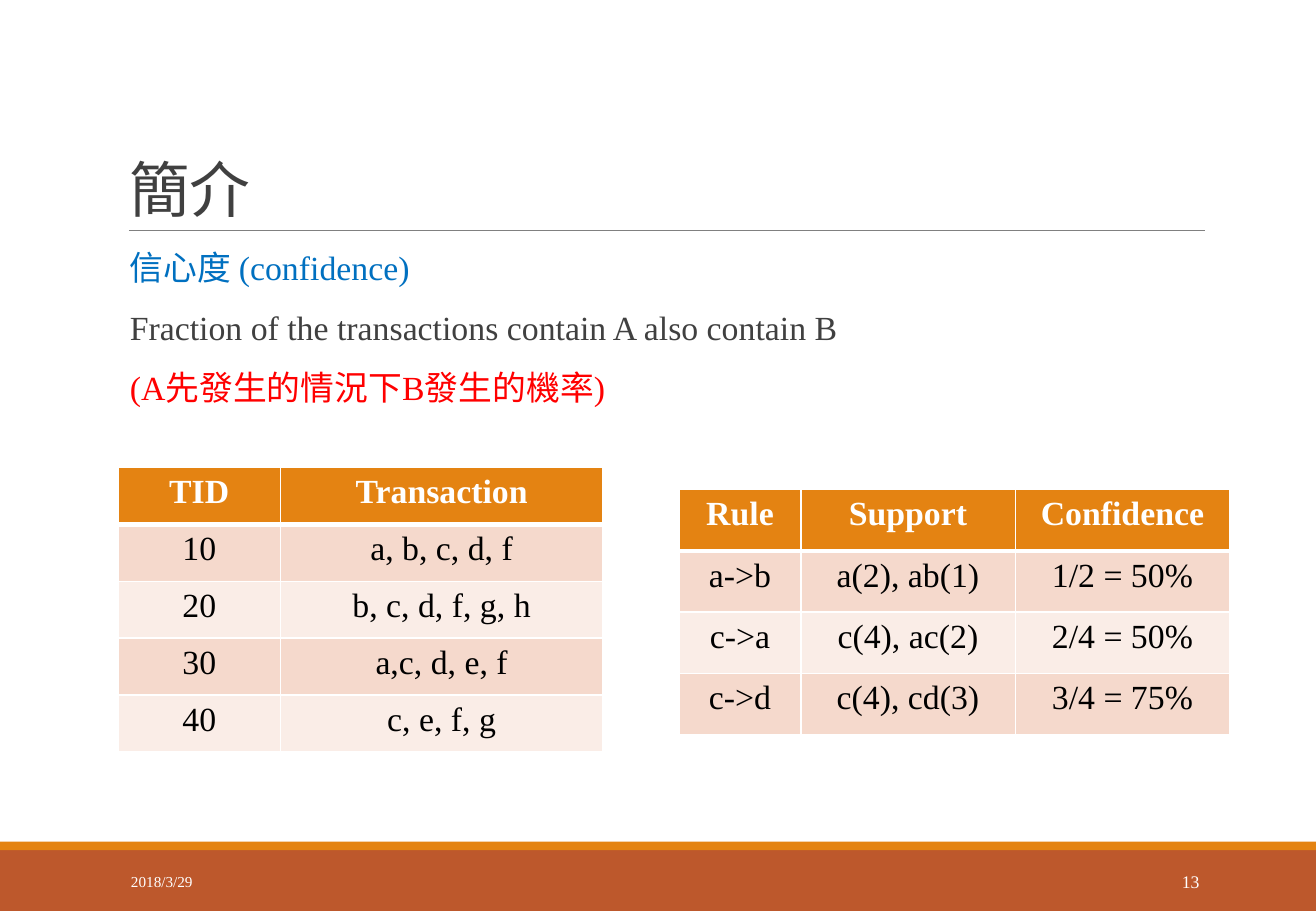
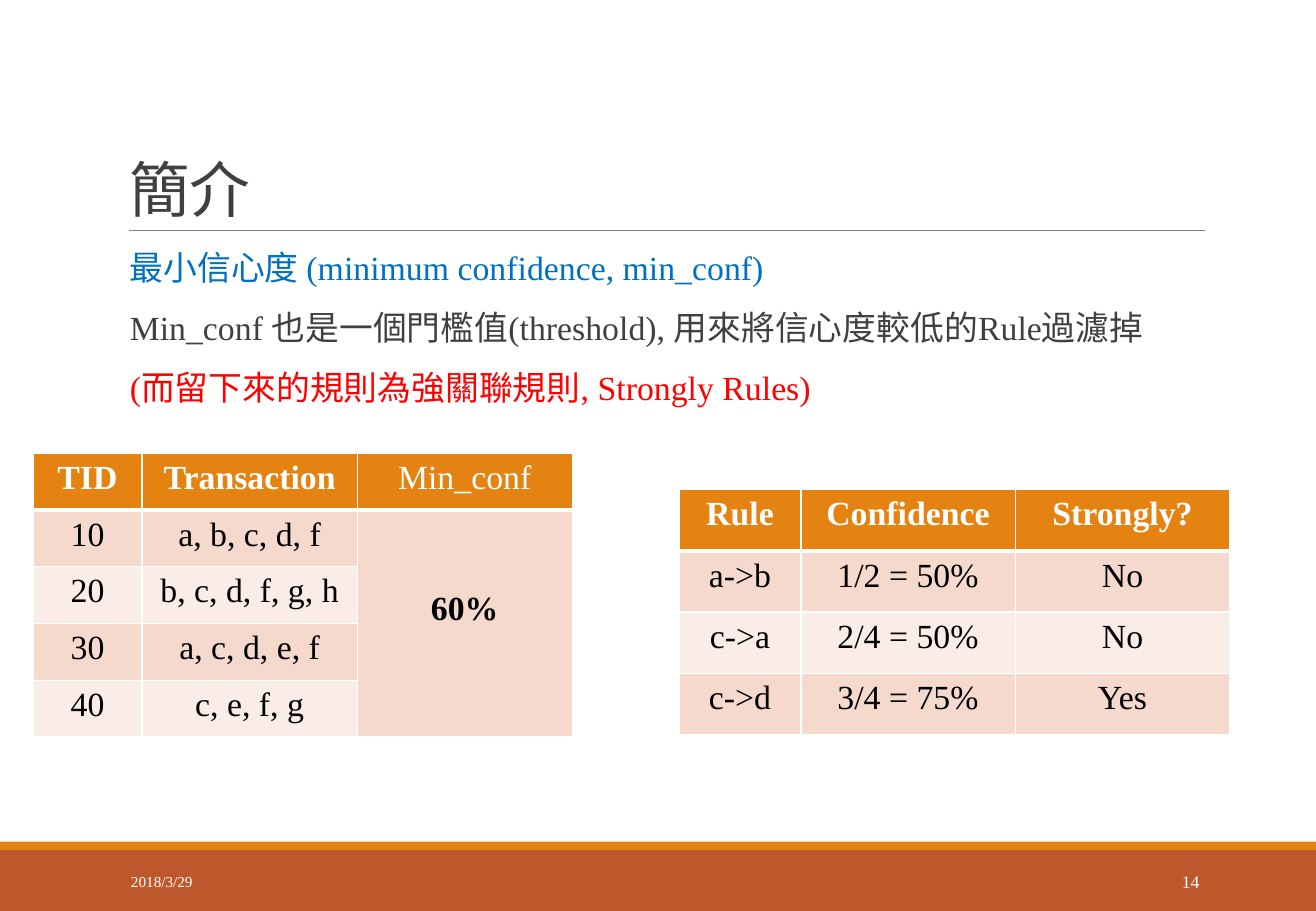
from lxml.etree import SubElement as Sub
from pptx import Presentation
from pptx.dml.color import RGBColor as Rgb
from pptx.enum.shapes import MSO_CONNECTOR as Conn, MSO_SHAPE as Shape
from pptx.enum.text import MSO_ANCHOR as Anchor, PP_ALIGN as Align
from pptx.oxml.ns import qn
from pptx.util import Inches as In, Pt

WIDE, HIGH = 10.83, 7.5
LEFT, SPAN = 0.97, 8.94
THEME = {
    "font": "Times New Roman",
    "ink": "404040", "blue": "0070C0", "red": "FF0000",
    "white": "FFFFFF", "black": "000000", "rule": "808080",
    "gold": "E48312", "rust": "BD582C",
    "bands": ("FAEDE7", "F5D9CC"),
    "title": 36, "body": 20, "date": 9, "page": 10.5,
}
TITLE, DATE = "簡介", "2018/3/29"
TONES = ("blue", "ink", "red")
FLIP = {"Min_conf", "60%"}  # weight opposite to the rest of their row

RULES = {"at": (5.59, 4.03), "cols": (1, 1.765, 1.765), "row": 0.505}
SLIDES = [
    {
        "page": "13",
        "body": ["信心度 (confidence)",
                 "Fraction of the transactions contain A also contain B",
                 "(A先發生的情況下B發生的機率)"],
        "tables": [
            {"at": (LEFT, 3.85), "cols": (1.34, 2.65), "row": 0.468, "rows": [
                ("TID", "Transaction"),
                ("10", "a, b, c, d, f"),
                ("20", "b, c, d, f, g, h"),
                ("30", "a,c, d, e, f"),
                ("40", "c, e, f, g")]},
            {**RULES, "rows": [
                ("Rule", "Support", "Confidence"),
                ("a->b", "a(2), ab(1)", "1/2 = 50%"),
                ("c->a", "c(4), ac(2)", "2/4 = 50%"),
                ("c->d", "c(4), cd(3)", "3/4 = 75%")]},
        ],
    },
    {
        "page": "14",
        "body": ["最小信心度 (minimum confidence, min_conf)",
                 "Min_conf 也是一個門檻值(threshold), 用來將信心度較低的Rule過濾掉",
                 "(而留下來的規則為強關聯規則, Strongly Rules)"],
        "tables": [
            {"at": (0.27, 3.73), "cols": (0.9, 1.77, 1.77), "row": 0.468,
             "merge": (1, 2, 4, 2), "rows": [
                ("TID", "Transaction", "Min_conf"),
                ("10", "a, b, c, d, f", "60%"),
                ("20", "b, c, d, f, g, h", ""),
                ("30", "a, c, d, e, f", ""),
                ("40", "c, e, f, g", "")]},
            {**RULES, "rows": [
                ("Rule", "Confidence", "Strongly?"),
                ("a->b", "1/2 = 50%", "No"),
                ("c->a", "2/4 = 50%", "No"),
                ("c->d", "3/4 = 75%", "Yes")]},
        ],
    },
]


def put(obj, **vals):
    for key, val in vals.items():
        setattr(obj, key, val)


def paint(fill, tone):
    fill.solid()
    fill.fore_color.rgb = Rgb.from_string(tone)


def write(para, text, size, tone, bold=False, **form):
    put(para, **form)
    run = para.add_run()
    run.text = text
    put(run.font, name=THEME["font"], size=Pt(size), bold=bold)
    run.font.color.rgb = Rgb.from_string(tone)
    return run


def frame(slide, box, anchor):
    text = slide.shapes.add_textbox(*map(In, box)).text_frame
    put(text, word_wrap=True, vertical_anchor=anchor)
    return text


def base(slide, page):
    """Draw the bands, rule, title and footer that every slide has."""
    for top, high, tone in ((7, 0.5, "rust"), (6.93, 0.07, "gold")):
        bar = slide.shapes.add_shape(Shape.RECTANGLE, 0, In(top), In(WIDE), In(high))
        bar.shadow.inherit = False
        paint(bar.fill, THEME[tone])
        bar.line.fill.background()
    rule = slide.shapes.add_connector(Conn.STRAIGHT, In(1.06), In(1.9), In(9.92), In(1.9))
    rule.line.width = Pt(0.5)
    rule.line.color.rgb = Rgb.from_string(THEME["rule"])
    Sub(rule._element.spPr, qn("a:effectLst"))

    head = frame(slide, (LEFT, 0.31, SPAN, 1.59), Anchor.BOTTOM)
    run = write(head.paragraphs[0], TITLE, THEME["title"], THEME["ink"], line_spacing=0.85)
    run._r.get_or_add_rPr().set("spc", "-50")
    for text, size, box, align in (
            (DATE, "date", (0.98, 7.06, 2.2, 0.4), Align.LEFT),
            (page, "page", (8.8, 7.06, 1.17, 0.4), Align.RIGHT)):
        foot = frame(slide, box, Anchor.MIDDLE)
        write(foot.paragraphs[0], text, THEME[size], THEME["white"], alignment=align)


def body(slide, lines):
    text = frame(slide, (LEFT, 2.02, SPAN, 4.4), Anchor.TOP)
    text.margin_right = 0
    for num, (line, tone) in enumerate(zip(lines, TONES)):
        para = text.add_paragraph() if num else text.paragraphs[0]
        write(para, line, THEME["body"], THEME[tone], line_spacing=0.9,
              space_before=Pt(12 if num else 0), space_after=Pt(2))


def edge(cell, row):
    """Give a cell white borders, thick between header and body."""
    thick = {0: "B", 1: "T"}.get(row)
    for side in "LRTB":
        width = Pt(3 if side == thick else 1)
        line = Sub(cell._tc.get_or_add_tcPr(), qn(f"a:ln{side}"), w=str(width))
        Sub(Sub(line, qn("a:solidFill")), qn("a:srgbClr"), val=THEME["white"])


def grid(slide, data):
    rows, cols, high = data["rows"], data["cols"], data["row"]
    size = (sum(cols), high * len(rows))
    table = slide.shapes.add_table(len(rows), len(cols), *map(In, data["at"] + size)).table
    table.horz_banding = False
    for col, wide in zip(table.columns, cols):
        col.width = In(wide)
    for r, line in enumerate(rows):
        table.rows[r].height = In(high)
        for c, text in enumerate(line):
            cell = table.cell(r, c)
            edge(cell, r)
            paint(cell.fill, THEME["bands"][r % 2] if r else THEME["gold"])
            if text:
                write(cell.text_frame.paragraphs[0], text, THEME["body"],
                      THEME["black" if r else "white"],
                      bold=(r == 0) != (text in FLIP), alignment=Align.CENTER)
    if "merge" in data:
        top, left, low, right = data["merge"]
        cell = table.cell(top, left)
        cell.merge(table.cell(low, right))
        cell.margin_top = In(0.66)


def main():
    deck = Presentation()
    put(deck, slide_width=In(WIDE), slide_height=In(HIGH))
    for data in SLIDES:
        slide = deck.slides.add_slide(deck.slide_layouts[6])
        base(slide, data["page"])
        body(slide, data["body"])
        for table in data["tables"]:
            grid(slide, table)
    deck.save("out.pptx")


if __name__ == "__main__":
    main()
